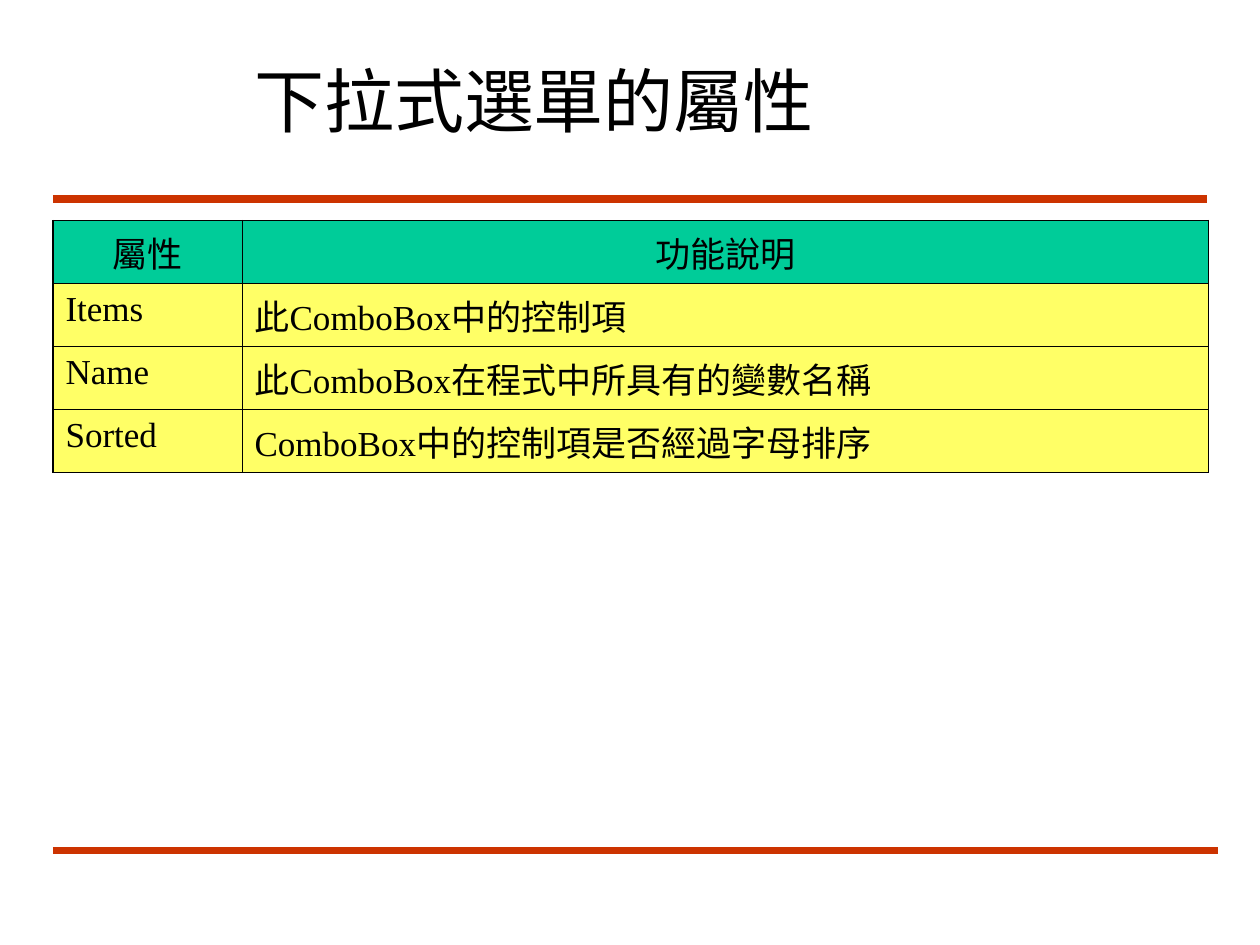
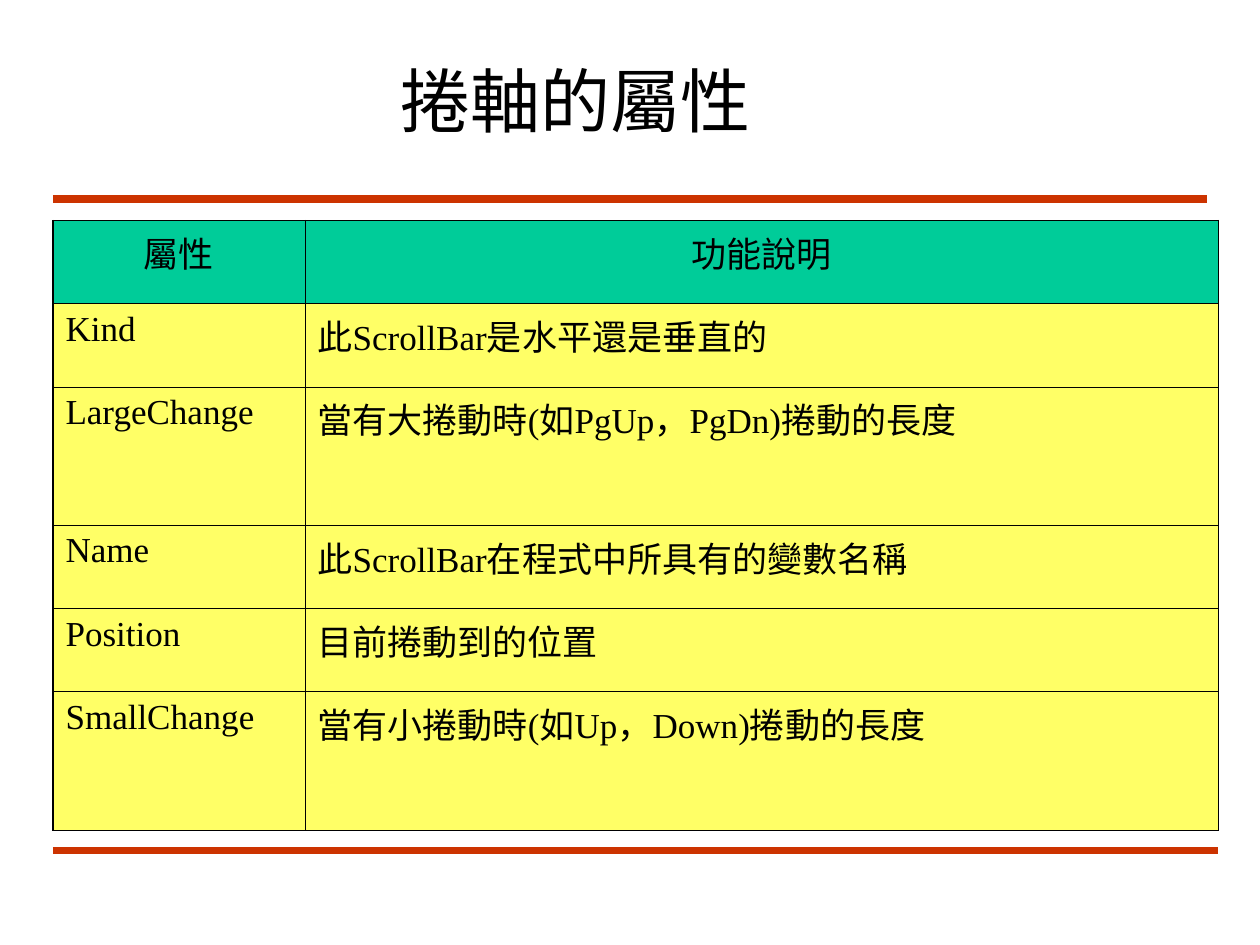
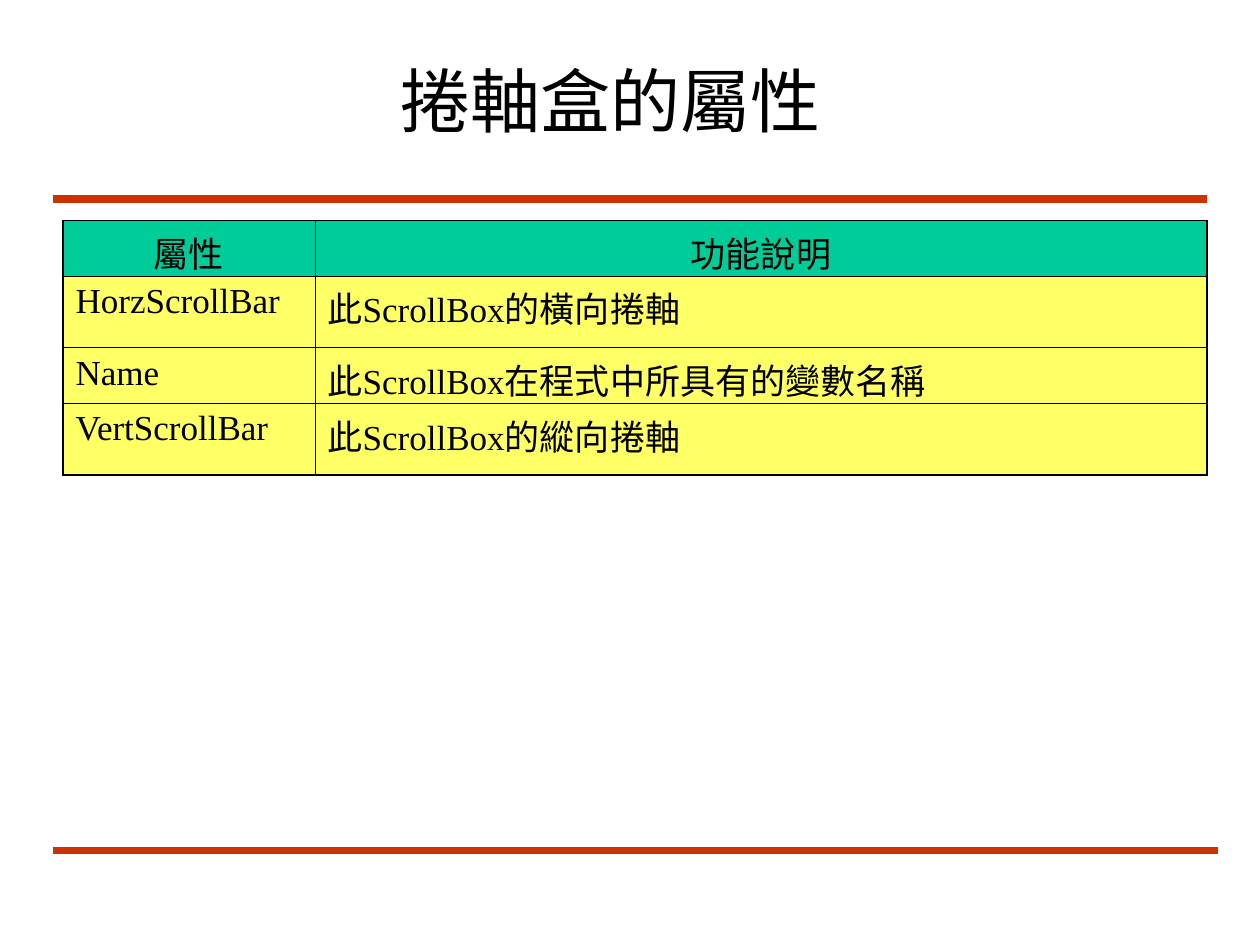
from dataclasses import dataclass
from itertools import groupby

from lxml import etree
from pptx import Presentation
from pptx import util as u
from pptx.dml.color import RGBColor
from pptx.enum import shapes, text
from pptx.oxml import ns


@dataclass(frozen=True)
class Theme:
    ink: str = "000000"
    rule: str = "CC3300"
    header: str = "00CC99"
    body: str = "FFFF66"
    title_font: str = "Arial"
    latin_font: str = "Times New Roman"
    cjk_font: str = "Noto Sans CJK SC"
    title_size: float = 40
    cell_size: float = 20
    rule_width: float = 4.5
    outer_border: float = 0.96
    inner_border: float = 0.34


class PropertyDeck:
    HEADINGS = ("屬性", "功能說明")
    TABLE_TOP = 1.75

    def __init__(self, theme):
        self.theme = theme
        self.deck = Presentation()
        self.deck.slide_width = u.Inches(10)
        self.deck.slide_height = u.Inches(7.5)
        self.slide = None

    def add_slide(self):
        self.slide = self.deck.slides.add_slide(self.deck.slide_layouts[6])
        self.rule(1.58, 9.58)
        self.rule(6.75, 9.67)

    def rule(self, y, right):
        line = self.slide.shapes.add_connector(
            shapes.MSO_CONNECTOR.STRAIGHT,
            u.Inches(0.42), u.Inches(y), u.Inches(right), u.Inches(y))
        line.line.color.rgb = RGBColor.from_string(self.theme.rule)
        line.line.width = u.Pt(self.theme.rule_width)
        etree.SubElement(line._element.spPr, ns.qn("a:effectLst"))

    def style_run(self, run, size, latin, east_asian):
        run.font.size = u.Pt(size)
        run.font.name = latin
        run.font.color.rgb = RGBColor.from_string(self.theme.ink)
        typeface = etree.SubElement(run._r.get_or_add_rPr(), ns.qn("a:ea"))
        typeface.set("typeface", east_asian)

    def title(self, wording, left, width):
        box = self.slide.shapes.add_textbox(
            u.Inches(left), u.Inches(0.33), u.Inches(width), u.Inches(0.92))
        frame = box.text_frame
        frame.word_wrap = True
        frame.vertical_anchor = text.MSO_ANCHOR.MIDDLE
        frame.text = wording
        self.style_run(frame.paragraphs[0].runs[0], self.theme.title_size,
                       self.theme.title_font, self.theme.cjk_font)

    def border(self, cell, side, outer):
        width = self.theme.outer_border if outer else self.theme.inner_border
        edge = etree.SubElement(cell._tc.get_or_add_tcPr(), ns.qn(f"a:ln{side}"))
        edge.set("w", str(int(u.Pt(width))))
        fill = etree.SubElement(edge, ns.qn("a:solidFill"))
        etree.SubElement(fill, ns.qn("a:srgbClr")).set("val", self.theme.ink)

    def cell(self, cell, wording, is_header, outer_sides):
        paragraph = cell.text_frame.paragraphs[0]
        for is_latin, letters in groupby(wording, str.isascii):
            run = paragraph.add_run()
            run.text = "".join(letters)
            font = self.theme.latin_font if is_latin else self.theme.cjk_font
            self.style_run(run, self.theme.cell_size, font, font)
        if is_header:
            paragraph.alignment = text.PP_ALIGN.CENTER
        for side in "LRTB":
            self.border(cell, side, side in outer_sides)
        cell.fill.solid()
        cell.fill.fore_color.rgb = RGBColor.from_string(
            self.theme.header if is_header else self.theme.body)

    def table(self, left, column_widths, row_heights, properties):
        rows = [self.HEADINGS, *properties]
        grid = self.slide.shapes.add_table(
            len(rows), len(column_widths), u.Inches(left), u.Inches(self.TABLE_TOP),
            u.Inches(sum(column_widths)), u.Inches(sum(row_heights))).table
        grid.first_row = grid.horz_banding = False
        for column, width in zip(grid.columns, column_widths):
            column.width = u.Inches(width)
        for r, (row, height, wordings) in enumerate(zip(grid.rows, row_heights, rows)):
            row.height = u.Inches(height)
            for c, wording in enumerate(wordings):
                outer = "L" if c == 0 else "R"
                outer += "T" if r == 0 else ""
                outer += "B" if r == len(rows) - 1 else ""
                self.cell(grid.cell(r, c), wording, r == 0, outer)


def main():
    deck = PropertyDeck(Theme())

    deck.add_slide()
    deck.title("下拉式選單的屬性", 1.92, 5)
    deck.table(0.42, (1.5, 7.67), [0.5] * 4, [
        ("Items", "此ComboBox中的控制項"),
        ("Name", "此ComboBox在程式中所具有的變數名稱"),
        ("Sorted", "ComboBox中的控制項是否經過字母排序"),
    ])

    deck.add_slide()
    deck.title("捲軸的屬性", 3.08, 3.58)
    deck.table(0.42, (2, 7.25), [0.66, 0.66, 1.1] * 2, [
        ("Kind", "此ScrollBar是水平還是垂直的"),
        ("LargeChange", "當有大捲動時(如PgUp，PgDn)捲動的長度"),
        ("Name", "此ScrollBar在程式中所具有的變數名稱"),
        ("Position", "目前捲動到的位置"),
        ("SmallChange", "當有小捲動時(如Up，Down)捲動的長度"),
    ])

    deck.add_slide()
    deck.title("捲軸盒的屬性", 3.08, 3.58)
    deck.table(0.5, (2, 7.08), [0.44, 0.57] * 2, [
        ("HorzScrollBar", "此ScrollBox的橫向捲軸"),
        ("Name", "此ScrollBox在程式中所具有的變數名稱"),
        ("VertScrollBar", "此ScrollBox的縱向捲軸"),
    ])

    deck.deck.save("out.pptx")


if __name__ == "__main__":
    main()
